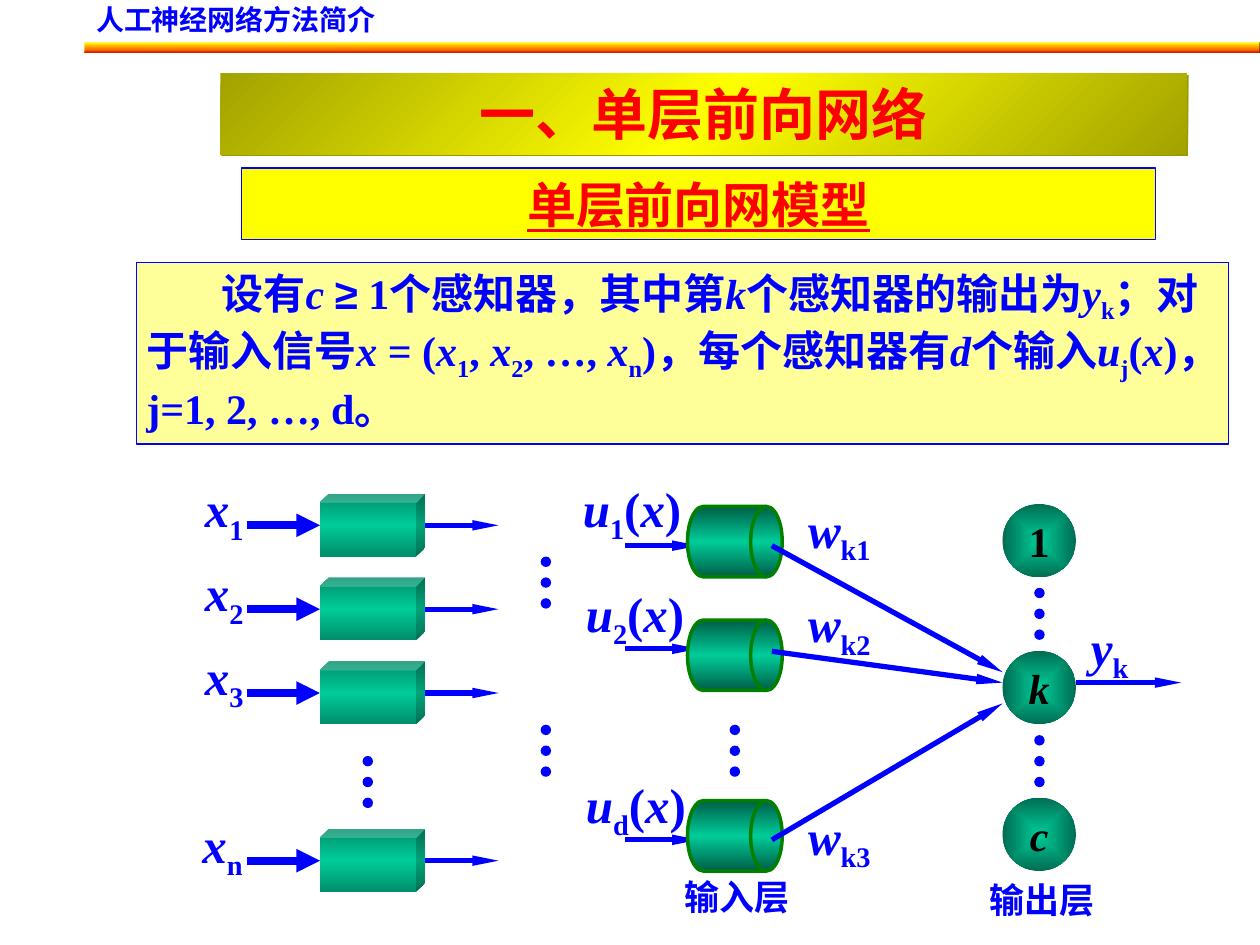
"""Build the slide on the single-layer feed-forward network."""
from lxml.etree import SubElement
from pptx import Presentation
from pptx.dml.color import RGBColor
from pptx.enum.shapes import MSO_CONNECTOR, MSO_SHAPE as Preset
from pptx.enum.text import MSO_ANCHOR as Anchor, MSO_AUTO_SIZE as AutoSize, PP_ALIGN as Align
from pptx.oxml import parse_xml
from pptx.oxml.ns import nsdecls, qn
from pptx.util import Cm, Pt

BLUE = RGBColor(0x00, 0x00, 0xFF)
RED = RGBColor(0xFF, 0x00, 0x00)
BLACK = RGBColor(0x00, 0x00, 0x00)
YELLOW = RGBColor(0xFF, 0xFF, 0x00)
PALE_YELLOW = RGBColor(0xFF, 0xFF, 0x99)
OLIVE = RGBColor(0xA2, 0xA2, 0x00)
SHADOW = RGBColor(0x99, 0x99, 0x00)
ORANGE = RGBColor(0xFF, 0x33, 0x00)
GREEN = RGBColor(0x00, 0x80, 0x00)
TEAL = RGBColor(0x00, 0xCC, 0x99)
CUBE_EDGE = RGBColor(0x00, 0x8E, 0x6B)
DRUM_EDGE = RGBColor(0x00, 0x5E, 0x47)
CIRCLE_EDGE = RGBColor(0x00, 0x6D, 0x52)


def fill_gradient(shape, colors, angle=None):
    """Fill a shape evenly with the colours, radially when no angle is given."""
    last = len(colors) - 1
    stops = "".join(
        f'<a:gs pos="{100000 * i // last}"><a:srgbClr val="{color}"/></a:gs>'
        for i, color in enumerate(colors))
    if angle is None:
        course = '<a:path path="rect"><a:fillToRect l="50000" t="50000" r="50000" b="50000"/></a:path>'
    else:
        course = f'<a:lin ang="{angle * 60000}" scaled="1"/>'
    shape.fill.gradient()
    properties = shape.element.spPr
    properties.replace(properties.find(qn("a:gradFill")), parse_xml(
        f'<a:gradFill {nsdecls("a")} rotWithShape="1"><a:gsLst>{stops}</a:gsLst>{course}</a:gradFill>'))
    shape.line.fill.background()
    shape.shadow.inherit = False


def add_arrow(x1, y1, x2, y2, weight=3, head_width="sm", head_length="lg"):
    """Draw a blue arrow between two points given in centimetres."""
    arrow = page.shapes.add_connector(MSO_CONNECTOR.STRAIGHT, Cm(x1), Cm(y1), Cm(x2), Cm(y2))
    arrow.line.color.rgb = BLUE
    arrow.line.width = Pt(weight)
    properties = arrow.element.spPr
    SubElement(properties.find(qn("a:ln")), qn("a:tailEnd"),
               type="triangle", w=head_width, len=head_length)
    SubElement(properties, qn("a:effectLst"))


deck = Presentation()
deck.slide_width, deck.slide_height = Cm(25.4), Cm(19.05)
page = deck.slides.add_slide(deck.slide_layouts[1])
shapes = page.shapes
texts = []

bar = shapes.add_shape(Preset.BEVEL, Cm(1.69), Cm(0.85), Cm(23.71), Cm(0.21))
fill_gradient(bar, [YELLOW, ORANGE], 90)
header = shapes.add_textbox(Cm(1.69), Cm(0), Cm(16.71), Cm(0.86))
header.text_frame.word_wrap = True
header.text_frame.paragraphs[0].line_spacing = 0.9
texts.append((header, [("人工神经网络方法简介", "")], 16, BLUE, Align.LEFT))

title, body = shapes.title, page.placeholders[1]
subtitle = shapes.add_shape(Preset.RECTANGLE, Cm(4.87), Cm(3.39), Cm(18.42), Cm(1.44))
title.left, title.top, title.width, title.height = Cm(4.44), Cm(1.48), Cm(19.48), Cm(1.63)
body.left, body.top, body.width, body.height = Cm(2.75), Cm(5.29), Cm(22.01), Cm(3.66)
fill_gradient(title, [OLIVE, YELLOW, OLIVE], 45)
effects = title.element.spPr.find(qn("a:effectLst"))
shadow = SubElement(effects, qn("a:outerShdw"), dist="17780", dir="2700000")
SubElement(shadow, qn("a:srgbClr"), val=str(SHADOW))
for box, color in ((subtitle, YELLOW), (body, PALE_YELLOW)):
    box.fill.solid()
    box.fill.fore_color.rgb = color
    box.line.color.rgb = BLUE
    box.line.width = Pt(0.74)
    box.shadow.inherit = False
for box in (title, subtitle, body):
    box.text_frame.auto_size = AutoSize.NONE
    box.text_frame.vertical_anchor = Anchor.TOP
    box.text_frame.word_wrap = True

frame = body.text_frame
frame.margin_left, frame.margin_right = Cm(0.2), Cm(0.1)
frame.margin_top = frame.margin_bottom = Cm(0.1)
frame.paragraphs[0].space_before = Pt(0)
layout = frame.paragraphs[0]._p.get_or_add_pPr()
layout.set("marL", "0")
layout.set("indent", str(Cm(1.52)))
SubElement(layout, qn("a:buNone"))

texts += [
    (title, [("一、单层前向网络", "")], 32, RED, Align.CENTER),
    (subtitle, [("单层前向网模型", "underline")], 28, RED, Align.CENTER),
    (body, [
        ("设有", ""), ("c ", "italic"), ("≥", "arial"), (" 1个感知器，其中第", ""),
        ("k", "italic"), ("个感知器的输出为", ""), ("y", "italic"), ("k", "sub"),
        ("；对于输入信号", ""), ("x", "italic"), (" = (", ""), ("x", "italic"), ("1", "sub"),
        (", ", ""), ("x", "italic"), ("2", "sub"), (", …, ", ""), ("x", "italic"), ("n", "sub"),
        (")，每个感知器有", ""), ("d", "italic"), ("个输入", ""), ("u", "italic"), ("j", "sub"),
        ("(", ""), ("x", "italic"), (")，j=1, 2, …, d。", ""),
    ], 24, BLUE, Align.LEFT),
]

labels = []
for row, index, x_left, x_width in (
        (0, "1", 3.88, 1.28), (1, "2", 3.88, 1.28), (2, "3", 3.88, 1.28), (4, "n", 3.83, 1.33)):
    middle = 10.59 + 1.69 * row
    cube = shapes.add_shape(Preset.CUBE, Cm(6.45), Cm(middle - 0.64), Cm(2.12), Cm(1.27))
    cube.adjustments[0] = 0.142
    fill_gradient(cube, [CUBE_EDGE, TEAL, CUBE_EDGE], 90)
    add_arrow(4.98, middle, 6.45, middle, 4.5, "med", "med")
    add_arrow(8.57, middle, 10.05, middle)
    labels.append((x_left, middle - 1.06, x_width, [("x", "italic"), (index, "sub")], 28))

for index, weight, middle, drum_top, u_left, u_top, w_top, start, target in (
        ("1", "k1", 11, 10.21, 11.5, 9.52, 9.95, 11, 13.55),
        ("2", "k2", 13.08, 12.5, 11.56, 11.63, 11.85, 13.13, 13.76),
        ("d", "k3", 16.93, 16.14, 11.56, 15.49, 16.13, 16.93, 14.18)):
    add_arrow(12.6, middle, 14.08, middle)
    drum = shapes.add_shape(Preset.FLOWCHART_DIRECT_ACCESS_STORAGE,
                            Cm(13.86), Cm(drum_top), Cm(1.91), Cm(1.42))
    fill_gradient(drum, [DRUM_EDGE, TEAL, DRUM_EDGE], 90)
    drum.line.color.rgb = GREEN
    drum.line.width = Pt(2)
    add_arrow(15.56, start, 20.21, target)
    u_spans = [("u", "italic"), (index, "sub"), ("(", ""), ("x", "italic"), (")", "")]
    labels.append((u_left, u_top, 2.52, u_spans, 28))
    labels.append((16.04, w_top, 1.78, [("w", "italic"), (weight, "sub")], 28))

for row, (name, style) in enumerate((("1", ""), ("k", "italic"), ("c", "italic"))):
    circle = shapes.add_shape(Preset.OVAL, Cm(20.21), Cm(10.16 + 2.96 * row), Cm(1.48), Cm(1.48))
    fill_gradient(circle, [TEAL, CIRCLE_EDGE])
    circle.text_frame.word_wrap = False
    circle.text_frame.vertical_anchor = Anchor.MIDDLE
    texts.append((circle, [(name, style)], 24, BLACK, Align.CENTER))
add_arrow(21.7, 13.76, 23.81, 13.76)

for left, top in ((7.31, 15.24), (10.9, 11.22), (10.9, 14.61),
                  (14.71, 14.61), (20.85, 11.85), (20.85, 14.82)):
    for step in range(3):
        dot = shapes.add_shape(Preset.FLOWCHART_CONNECTOR,
                               Cm(left), Cm(top + 0.42 * step), Cm(0.21), Cm(0.21))
        dot.fill.solid()
        dot.fill.fore_color.rgb = BLUE
        dot.line.fill.background()
        dot.shadow.inherit = False

labels += [
    (21.74, 12.32, 1.28, [("y", "italic"), ("k", "sub")], 28),
    (13.55, 17.53, 2.62, [("输入层", "")], 20),
    (19.69, 17.58, 2.62, [("输出层", "")], 20),
]
for left, top, width, spans, size in labels:
    label = shapes.add_textbox(Cm(left), Cm(top), Cm(width), Cm(1.6 if size == 28 else 1.12))
    label.text_frame.word_wrap = False
    label.text_frame.auto_size = AutoSize.SHAPE_TO_FIT_TEXT
    texts.append((label, spans, size, BLUE, Align.LEFT))

for box, spans, size, color, alignment in texts:
    para = box.text_frame.paragraphs[0]
    para.alignment = alignment
    para.font.name = "Times New Roman"
    para.font.size = Pt(size)
    para.font.bold = True
    para.font.color.rgb = color
    for words, style in spans:
        span = para.add_run()
        span.text = words
        if style == "italic":
            span.font.italic = True
        elif style == "underline":
            span.font.bold = span.font.underline = True
        elif style == "arial":
            span.font.name = "Arial"
        elif style == "sub":
            span._r.get_or_add_rPr().set("baseline", "-25000")

deck.save("out.pptx")
